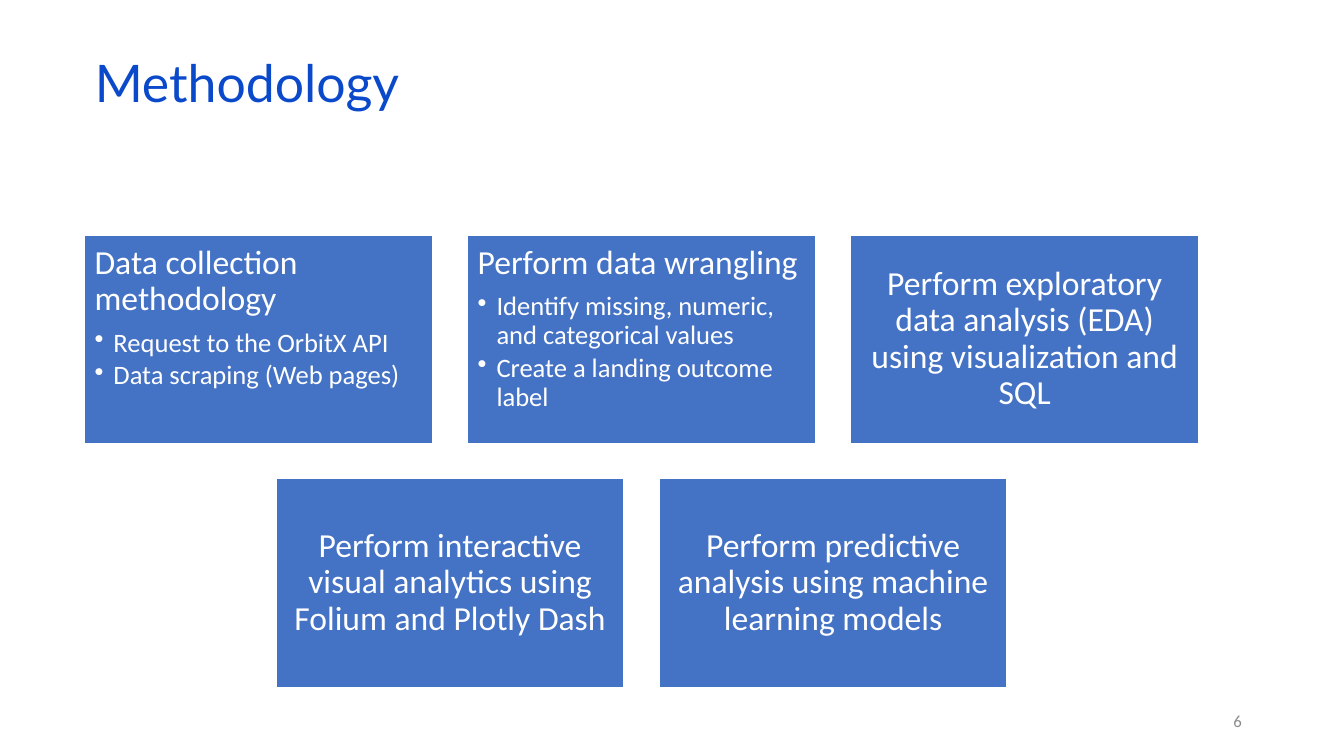
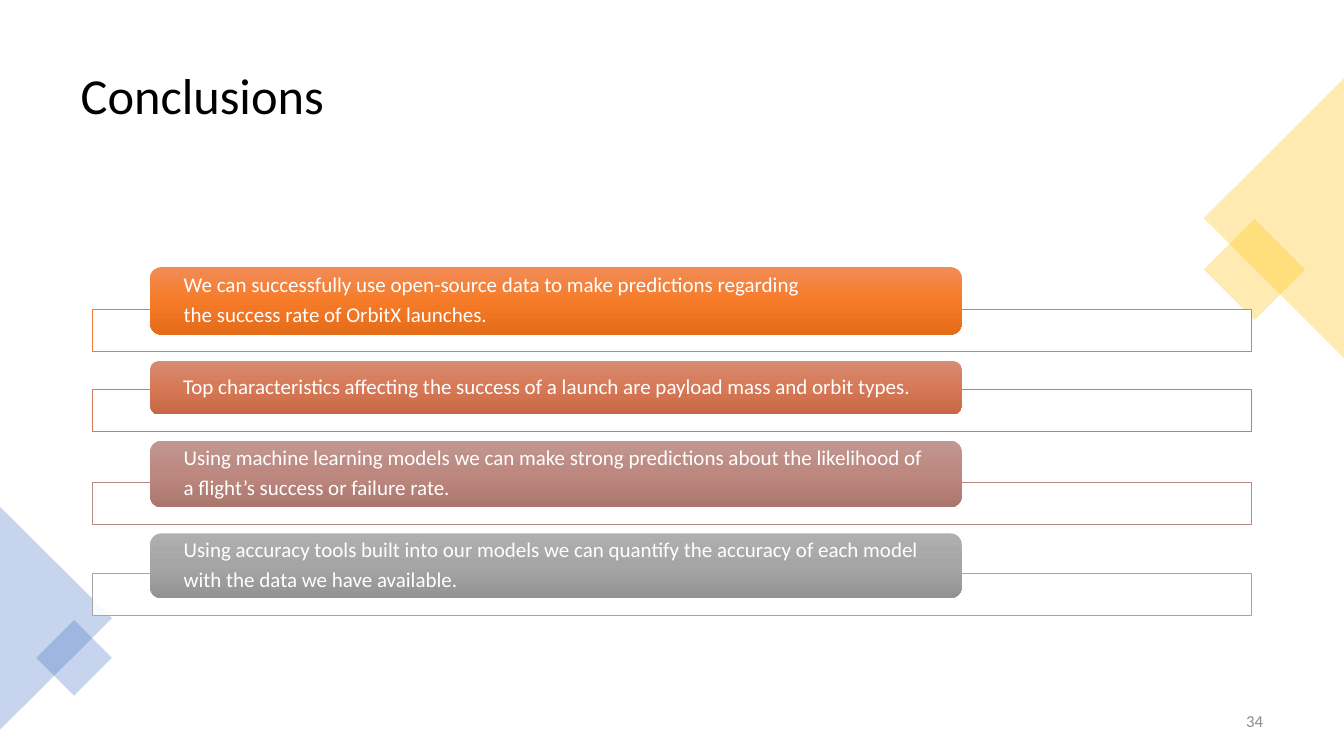
"""Build the Methodology and Conclusions slides."""
from copy import deepcopy

from pptx import Presentation
from pptx.dml.color import RGBColor
from pptx.enum.shapes import MSO_SHAPE as Shape
from pptx.enum.text import MSO_ANCHOR as Anchor, MSO_AUTO_SIZE as AutoSize, PP_ALIGN as Align
from pptx.oxml.ns import qn
from pptx.util import Pt

COLOURS = {
    "title_blue": "0B49CB",
    "black": "000000",
    "white": "FFFFFF",
    "grey": "8C8C8C",
    "blue": "4472C4",
    "gold": "FFC000",
}


def style(para, size, colour, font="Calibri", align=Align.LEFT, spacing=1.0, after=0):
    """Format a paragraph and its runs."""
    para.alignment = align
    para.line_spacing = spacing
    para.space_after = Pt(after)
    for span in para.runs:
        span.font.name = font
        span.font.size = Pt(size)
        span.font.color.rgb = RGBColor.from_string(COLOURS[colour])


def add_filled(page, kind, left, top, width, height, colour, opacity=100):
    """Add a flat shape without outline, optionally translucent."""
    shape = page.shapes.add_shape(kind, Pt(left), Pt(top), Pt(width), Pt(height))
    shape.shadow.inherit = False
    shape.line.fill.background()
    shape.fill.solid()
    shape.fill.fore_color.rgb = RGBColor.from_string(colour)
    if opacity < 100:
        tint = shape.element.spPr.find(qn("a:solidFill"))[0]
        alpha = tint.makeelement(qn("a:alpha"), {"val": str(opacity * 1000)})
        tint.append(alpha)
    return shape


deck = Presentation()
deck.slide_width, deck.slide_height = Pt(960), Pt(540)

headings = [
    ("Methodology", (60.5, 42.5, 828, 43.2), 37, "title_blue", "Lato", 0.7, 0, "6", 678.2),
    ("Conclusions", (50.4, 25.2, 859, 89.3), 36, "black", "Calibri", 0.9, 6, "34", 693.4),
]
pages = []
for text, place, size, colour, font, spacing, after, number, number_left in headings:
    page = deck.slides.add_slide(deck.slide_layouts[5])
    pages.append(page)
    title = page.shapes.title
    title.left, title.top, title.width, title.height = [Pt(value) for value in place]
    title.text_frame.text = text
    title.text_frame.auto_size = AutoSize.NONE
    title.text_frame.vertical_anchor = Anchor.MIDDLE
    style(title.text_frame.paragraphs[0], size, colour, font, spacing=spacing, after=after)

    number_box = page.shapes.add_textbox(Pt(number_left), Pt(500.4), Pt(216), Pt(28.8))
    number_box.text_frame.text = number
    number_box.text_frame.word_wrap = True
    number_box.text_frame.vertical_anchor = Anchor.MIDDLE
    style(number_box.text_frame.paragraphs[0], 12, "grey", align=Align.RIGHT, after=after)

methodology, conclusions = pages

card_rows = [
    [
        ["Data collection methodology", "Request to the OrbitX API", "Data scraping (Web pages)"],
        ["Perform data wrangling", "Identify missing, numeric, and categorical values",
         "Create a landing outcome label"],
        ["Perform exploratory data analysis (EDA) using visualization and SQL"],
    ],
    [
        ["Perform interactive visual analytics using Folium and Plotly Dash"],
        ["Perform predictive analysis using machine learning models"],
    ],
]
card_width, card_height, card_gap = 248.4, 149, 25.2
cards_centre, cards_top = 458.3, 167.8
for row, cards in enumerate(card_rows):
    row_width = len(cards) * (card_width + card_gap) - card_gap
    top = cards_top + row * (card_height + card_gap)
    for column, (heading, *bullets) in enumerate(cards):
        left = cards_centre - row_width / 2 + column * (card_width + card_gap)
        card = add_filled(methodology, Shape.RECTANGLE, left, top, card_width, card_height,
                          COLOURS["blue"])
        card.line.color.rgb = RGBColor.from_string(COLOURS["white"])
        card.line.width = Pt(1)
        frame = card.text_frame
        frame.word_wrap = True
        frame.margin_left = frame.margin_right = Pt(7.2)
        frame.margin_top = frame.margin_bottom = Pt(7.2)
        frame.vertical_anchor = Anchor.TOP if bullets else Anchor.MIDDLE
        frame.text = heading
        style(frame.paragraphs[0], 24, "white", align=Align.LEFT if bullets else Align.CENTER,
              spacing=0.9, after=8.4)
        for bullet in bullets:
            para = frame.add_paragraph()
            para.text = bullet
            para.level = 1
            properties = para._p.get_or_add_pPr()
            properties.set("marL", str(Pt(13.5)))
            properties.set("indent", str(-Pt(13.5)))
            properties.append(properties.makeelement(qn("a:buChar"), {"char": "•"}))
            style(para, 19, "white", spacing=0.9, after=2.85)

decorations = [
    (Shape.RECTANGLE, 870.5, 167, 51.1, 51.1, "gold", 45),
    (Shape.ISOSCELES_TRIANGLE, 810.1, 105.8, 199.6, 100, "gold", 270),
    (Shape.ISOSCELES_TRIANGLE, -39.6, 401.6, 159.2, 80, "blue", 90),
    (Shape.RECTANGLE, 33.8, 450.8, 38.2, 38.2, "blue", 45),
]
for kind, left, top, width, height, colour, angle in decorations:
    decoration = add_filled(conclusions, kind, left, top, width, height, COLOURS[colour], 30)
    decoration.rotation = angle

findings = [
    (48.2, "ED7D31", ["F18C57", "F67B28", "E56C19"],
     ["We can successfully use open-source data to make predictions regarding",
      "the success rate of OrbitX launches."]),
    (38.2, "D17B5C", ["D78B72", "D77956", "C66846"],
     ["Top characteristics affecting the success of a launch are payload mass and orbit types."]),
    (47.5, "B98A82", ["C19791", "BC8880", "AA766E"],
     ["Using machine learning models we can make strong predictions about the likelihood of",
      "a flight’s success or failure rate."]),
    (46.1, "A5A5A5", ["AFAFAF", "A5A5A5", "939393"],
     ["Using accuracy tools built into our models we can quantify the accuracy of each model",
      "with the data we have available."]),
]
bar_height, overlap, finding_gap = 29.9, 17.7, 6.6
pill_top = 190.8
for pill_height, outline, shades, lines in findings:
    bar_top = pill_top + pill_height - overlap
    bar = add_filled(conclusions, Shape.RECTANGLE, 66.2, bar_top, 828, bar_height,
                     COLOURS["white"], 90)
    bar.line.color.rgb = RGBColor.from_string(outline)
    bar.line.width = Pt(0.5)

    pill = add_filled(conclusions, Shape.ROUNDED_RECTANGLE, 107.3, pill_top, 579.6, pill_height,
                      shades[1])
    pill.fill.gradient()
    pill.fill.gradient_angle = 270
    stop_list = pill.element.spPr.find(qn("a:gradFill")).find(qn("a:gsLst"))
    stop_list.append(deepcopy(stop_list[-1]))
    for stop, shade, position in zip(pill.fill.gradient_stops, shades, [0, 0.5, 1]):
        stop.color.rgb = RGBColor.from_string(shade)
        stop.position = position

    frame = pill.text_frame
    frame.word_wrap = True
    frame.vertical_anchor = Anchor.MIDDLE
    frame.margin_left = frame.margin_right = Pt(21.6)
    frame.margin_top = frame.margin_bottom = Pt(0)
    frame.text = "\n".join(lines)
    for para in frame.paragraphs:
        style(para, 15, "white", spacing=0.9, after=5.25)
    pill_top = bar_top + bar_height + finding_gap

deck.save("out.pptx")
